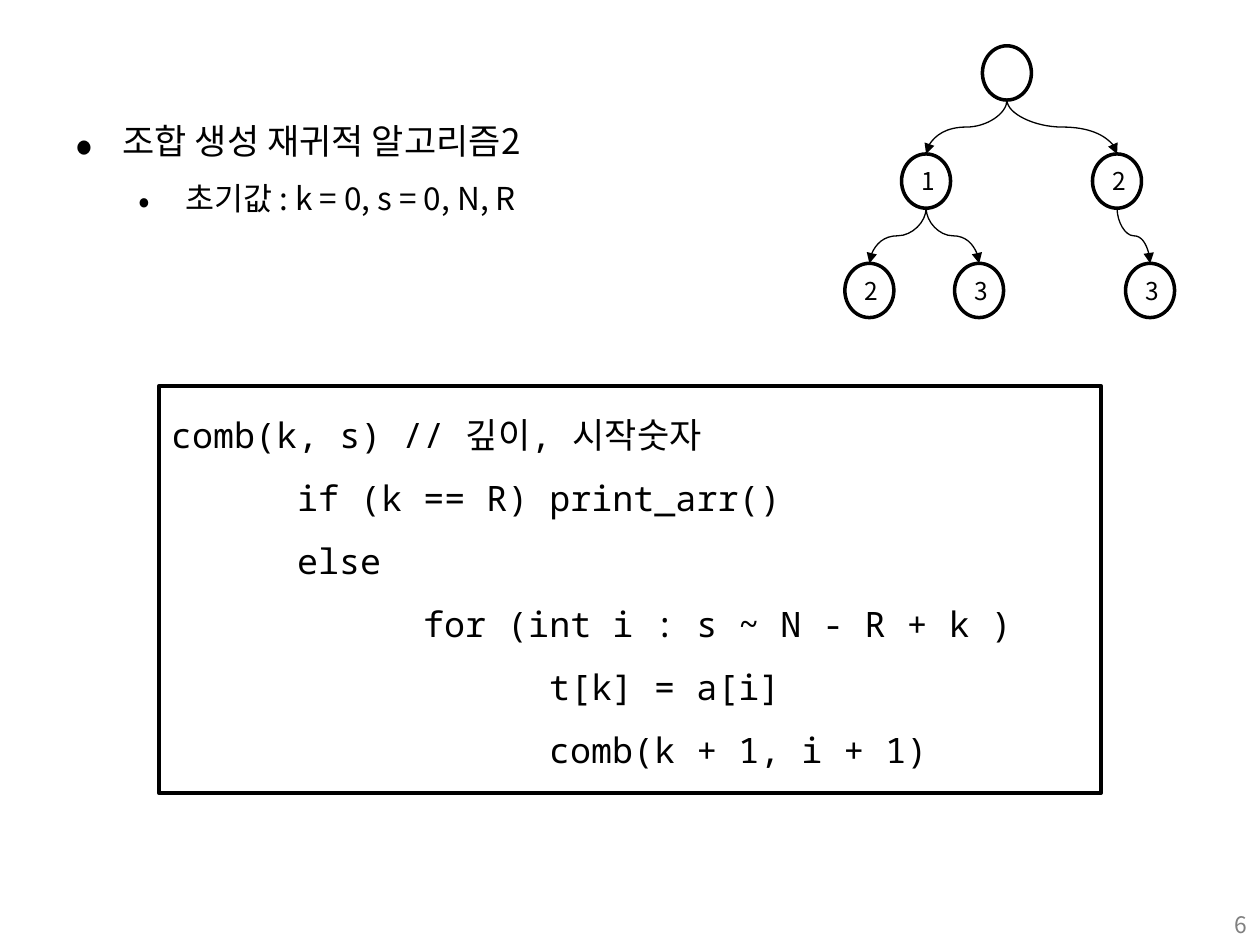
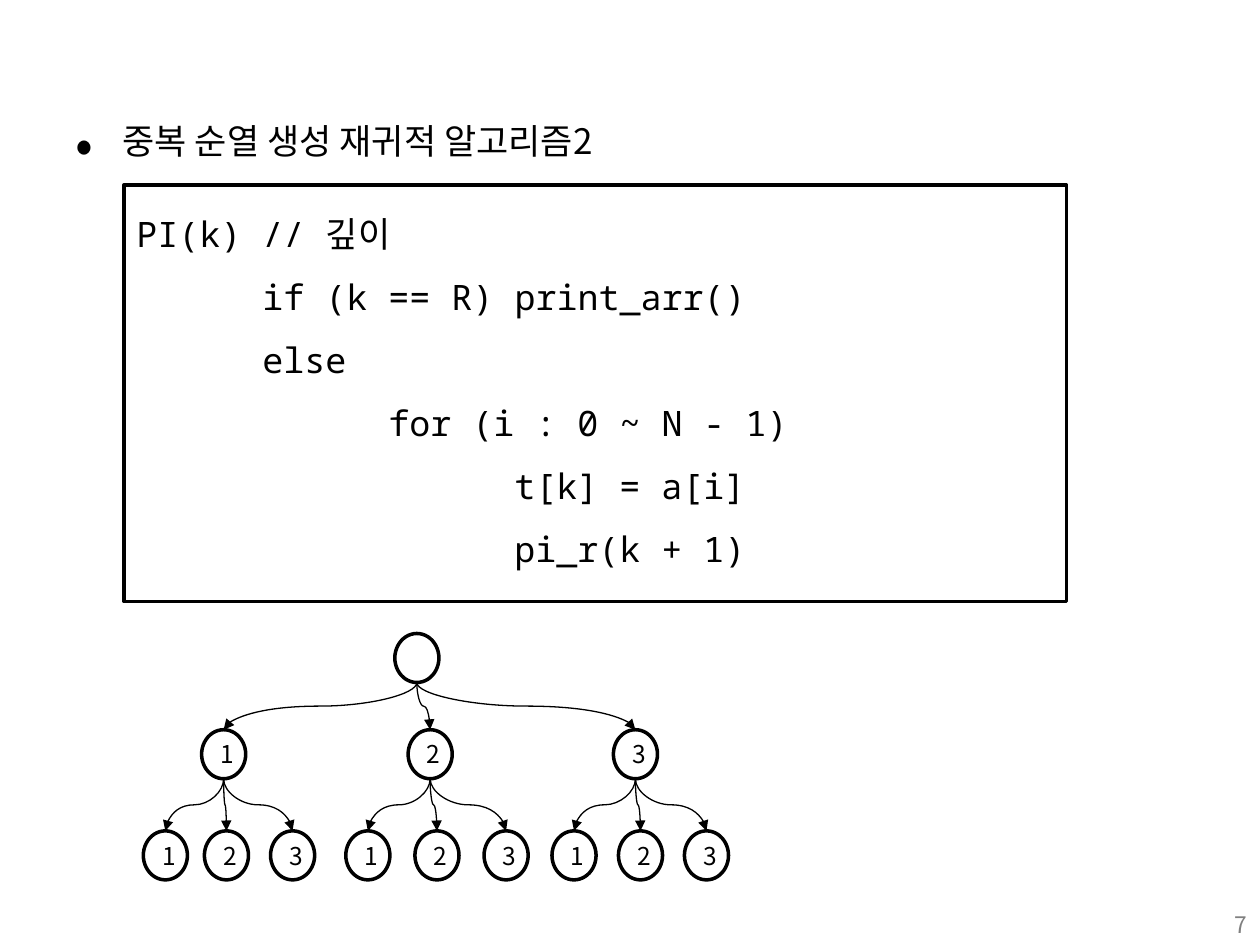
from dataclasses import dataclass

from lxml import etree
from pptx import Presentation
from pptx.dml.color import RGBColor
from pptx.enum import shapes, text
from pptx.oxml.ns import qn
from pptx.util import Pt

# Shared style
COLORS = {"ink": "000000", "paper": "FFFFFF", "page": "808080"}
SANS, MONO = "Noto Sans CJK KR", "Noto Sans Mono"
BOX_WIDTH = 538.6
TAB = 72


@dataclass
class Bullet:
    text: str
    size: float
    left: float
    bullet_percent: int


@dataclass
class CodeBox:
    left: float
    top: float
    height: float
    lines: list[str]


@dataclass
class Node:
    center: float
    label: str = ""
    children: tuple["Node", ...] = ()


@dataclass
class Tree:
    root: Node
    level_tops: tuple[float, ...]
    width: float
    height: float
    filled: bool


@dataclass
class Page:
    number: int
    bullets: list[Bullet]
    code: CodeBox
    tree: Tree


def heading(words: str) -> Bullet:
    return Bullet(words, 20, 27, 150)


def leaves(*centers: float) -> tuple[Node, ...]:
    return tuple(Node(x, str(i)) for i, x in enumerate(centers, 1))


def rgb(name: str) -> RGBColor:
    return RGBColor.from_string(COLORS[name])


# Text helpers
def set_font(p, size: float, name: str = SANS, color: str = "ink"):
    """Style a paragraph and return its default run properties."""
    p.font.size = Pt(size)
    p.font.name = name
    p.font.color.rgb = rgb(color)
    props = p._p.pPr.find(qn("a:defRPr"))
    props.set("kern", "0")
    etree.SubElement(props, qn("a:ea")).set("typeface", name)
    return props


def add_lines(tf, lines: list[str]) -> list:
    """Write one paragraph per line and return the paragraphs."""
    paragraphs = []
    for i, line in enumerate(lines):
        p = tf.add_paragraph() if i else tf.paragraphs[0]
        p.add_run().text = line
        paragraphs.append(p)
    return paragraphs


def add_text_frame(slide, left: float, top: float, width: float, height: float):
    box = slide.shapes.add_textbox(Pt(left), Pt(top), Pt(width), Pt(height))
    box.text_frame.word_wrap = True
    return box.text_frame


def draw_bullets(slide, bullets: list[Bullet]) -> None:
    tf = add_text_frame(slide, 36, 57.6, 648, 386.6)
    for p, b in zip(add_lines(tf, [b.text for b in bullets]), bullets):
        p.line_spacing = 1.3
        p.space_before = Pt(0.2 * b.size)
        props = set_font(p, b.size)
        p._p.pPr.set("marL", str(Pt(b.left)))
        p._p.pPr.set("indent", str(Pt(-27)))
        for tag, key, value in (("a:buSzPct", "val", str(b.bullet_percent * 1000)),
                                ("a:buFont", "typeface", SANS),
                                ("a:buChar", "char", "•")):
            mark = etree.Element(qn(tag))
            mark.set(key, value)
            props.addprevious(mark)


def draw_page_number(slide, number: int) -> None:
    p, = add_lines(add_text_frame(slide, 551.5, 517, 168, 28.8), [str(number)])
    p.alignment = text.PP_ALIGN.RIGHT
    set_font(p, 13, color="page")


# Shapes
def add_outlined(slide, kind, left: float, top: float, width: float, height: float,
                 filled: bool = True):
    sp = slide.shapes.add_shape(kind, Pt(left), Pt(top), Pt(width), Pt(height))
    sp.shadow.inherit = False
    if filled:
        sp.fill.solid()
        sp.fill.fore_color.rgb = rgb("paper")
    else:
        sp.fill.background()
    sp.line.color.rgb = rgb("ink")
    sp.line.width = Pt(2)
    return sp


def draw_code(slide, code: CodeBox) -> None:
    sp = add_outlined(slide, shapes.MSO_SHAPE.RECTANGLE,
                      code.left, code.top, BOX_WIDTH, code.height)
    tf = sp.text_frame
    tf.vertical_anchor = text.MSO_ANCHOR.TOP
    for p in add_lines(tf, code.lines):
        p.alignment = text.PP_ALIGN.LEFT
        p.line_spacing = 1.5
        props = set_font(p, 20, MONO)
        stops = etree.Element(qn("a:tabLst"))
        for depth in (1, 2, 3):
            stop = etree.SubElement(stops, qn("a:tab"))
            stop.set("pos", str(Pt(depth * TAB)))
            stop.set("algn", "l")
        props.addprevious(stops)


def draw_branch(slide, x1: float, y1: float, x2: float, y2: float) -> None:
    """Curved arrow that leaves downwards: a sideways curve turned upright."""
    half_run = (y2 - y1) / 2
    half_rise = abs(x2 - x1) / 2
    cx, cy = (x1 + x2) / 2, (y1 + y2) / 2
    side = 1 if x2 > x1 else -1
    c = slide.shapes.add_connector(
        shapes.MSO_CONNECTOR.CURVE,
        Pt(cx + side * half_run), Pt(cy - half_rise),
        Pt(cx - side * half_run), Pt(cy + half_rise))
    c.line.color.rgb = rgb("ink")
    c.line.width = Pt(0.75)
    props = c._element.spPr
    props.find(qn("a:xfrm")).set("rot", str((270 if side > 0 else 90) * 60000))
    etree.SubElement(props.find(qn("a:ln")), qn("a:tailEnd")).set("type", "triangle")
    etree.SubElement(props, qn("a:effectLst"))


def draw_node(slide, tree: Tree, node: Node, level: int = 0) -> None:
    top = tree.level_tops[level]
    sp = add_outlined(slide, shapes.MSO_SHAPE.OVAL, node.center - tree.width / 2, top,
                      tree.width, tree.height, tree.filled)
    if node.label:
        sp.text_frame.vertical_anchor = text.MSO_ANCHOR.MIDDLE
        p, = add_lines(sp.text_frame, [node.label])
        p.alignment = text.PP_ALIGN.CENTER
        set_font(p, 14)
    for child in node.children:
        draw_node(slide, tree, child, level + 1)
        draw_branch(slide, node.center, top + tree.height,
                    child.center, tree.level_tops[level + 1])


# Content
PAGES = [
    Page(
        6,
        [heading("조합 생성 재귀적 알고리즘2"),
         Bullet("초기값 : k = 0, s = 0, N, R", 18, 63, 110)],
        CodeBox(90.7, 220.6, 232.6, [
            "comb(k, s) // 깊이, 시작숫자",
            "\tif (k == R) print_arr()",
            "\telse",
            "\t\tfor (int i : s ~ N - R + k )",
            "\t\t\tt[k] = a[i]",
            "\t\t\tcomb(k + 1, i + 1)"]),
        Tree(Node(575.4, "", (
            Node(529.2, "1", (Node(496.8, "2"), Node(559.5, "3"))),
            Node(638.3, "2", (Node(657.2, "3"),)))),
            (26.2, 88, 150.5), 28, 31, True),
    ),
    Page(
        7,
        [heading("중복 순열 생성 재귀적 알고리즘2")],
        CodeBox(70.8, 105.8, 238, [
            "PI(k) // 깊이",
            "\tif (k == R) print_arr()",
            "\telse",
            "\t\tfor (i : 0 ~ N - 1)",
            "\t\t\tt[k] = a[i]",
            "\t\t\tpi_r(k + 1)"]),
        Tree(Node(238.2, "", (
            Node(127.8, "1", leaves(94.5, 129.4, 167.2)),
            Node(245.8, "2", leaves(210.2, 249.7, 289.2)),
            Node(363.1, "3", leaves(328, 366, 403.7)))),
            (362, 417, 474.8), 25.2, 28, False),
    ),
]


def main() -> None:
    prs = Presentation()
    prs.slide_width, prs.slide_height = Pt(720), Pt(540)
    for page in PAGES:
        slide = prs.slides.add_slide(prs.slide_layouts[6])
        draw_bullets(slide, page.bullets)
        draw_page_number(slide, page.number)
        draw_code(slide, page.code)
        draw_node(slide, page.tree, page.tree.root)
    prs.save("out.pptx")


if __name__ == "__main__":
    main()
